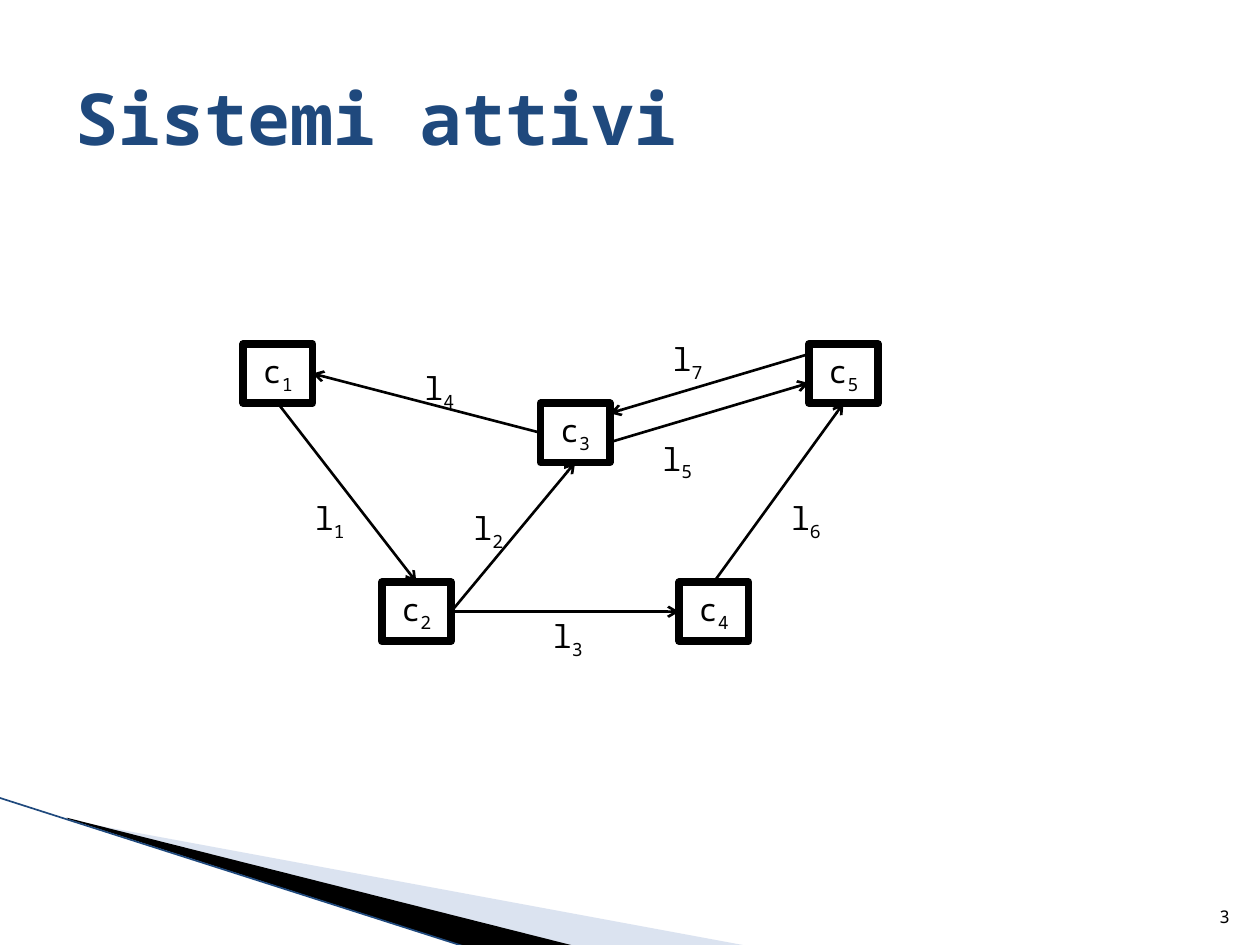
"""Build the slide "Sistemi attivi" with its graph of components and links."""
from lxml import etree
from pptx import Presentation
from pptx.dml.color import RGBColor
from pptx.enum.shapes import MSO_CONNECTOR, MSO_SHAPE
from pptx.enum.text import MSO_ANCHOR, PP_ALIGN
from pptx.oxml.ns import qn
from pptx.util import Inches, Pt

STRAIGHT = MSO_CONNECTOR.STRAIGHT
RECTANGLE = MSO_SHAPE.RECTANGLE
TOP, MIDDLE, BOTTOM = MSO_ANCHOR.TOP, MSO_ANCHOR.MIDDLE, MSO_ANCHOR.BOTTOM
LEFT, CENTER, RIGHT = PP_ALIGN.LEFT, PP_ALIGN.CENTER, PP_ALIGN.RIGHT
BLACK = RGBColor(0x00, 0x00, 0x00)
WHITE = RGBColor(0xFF, 0xFF, 0xFF)
NAVY = RGBColor(0x1F, 0x49, 0x7D)
PALE_BLUE = RGBColor(0xA7, 0xB9, 0xDB)
FONT = "Noto Sans Mono"
SIDE_TOP, SIDE_LEFT, SIDE_BOTTOM, SIDE_RIGHT = range(4)


def write_text(shape, text, size, color=BLACK, bold=False, subscript="",
               align=LEFT, anchor=TOP, wrap=True):
    frame = shape.text_frame
    frame.word_wrap = wrap
    frame.vertical_anchor = anchor
    paragraph = frame.paragraphs[0]
    paragraph.alignment = align
    for part in filter(None, (text, subscript)):
        run = paragraph.add_run()
        run.text = part
        run.font.name = FONT
        run.font.size = Pt(size)
        run.font.bold = bold
        run.font.color.rgb = color
    if subscript:
        run.font._element.set("baseline", "-25000")


def add_line(start, end, color, width, arrow=True):
    line = slide.shapes.add_connector(STRAIGHT, *map(Inches, start + end))
    line.line.color.rgb = color
    line.line.width = Pt(width)
    if arrow:
        etree.SubElement(line.line._get_or_add_ln(), qn("a:tailEnd"), type="arrow")
    etree.SubElement(line._element.spPr, qn("a:effectLst"))
    return line


presentation = Presentation()
presentation.slide_width = Inches(10)
presentation.slide_height = Inches(7.5)
slide = presentation.slides.add_slide(presentation.slide_layouts[6])

wedges = [
    ([(0.55, 6.51), (5.95, 7.51), (4.56, 7.51), (0.55, 6.5)], PALE_BLUE, 40),
    ([(0.53, 6.49), (4.57, 7.51), (3.72, 7.52), (0.54, 6.5)], BLACK, 100),
]
for points, color, opacity in wedges:
    corners = [(Inches(x), Inches(y)) for x, y in points]
    builder = slide.shapes.build_freeform(*corners[0])
    builder.add_line_segments(corners[1:])
    wedge = builder.convert_to_shape()
    wedge.shadow.inherit = False
    wedge.line.fill.background()
    wedge.fill.solid()
    wedge.fill.fore_color.rgb = color
    if opacity < 100:
        color_element = wedge._element.spPr.find(".//" + qn("a:srgbClr"))
        etree.SubElement(color_element, qn("a:alpha"), val=str(opacity * 1000))
add_line((-0.01, 6.33), (3.71, 7.52), NAVY, 0.95, arrow=False)

page_number = slide.shapes.add_textbox(Inches(9.46), Inches(7.01), Inches(0.4), Inches(0.4))
write_text(page_number, "3", 10, align=RIGHT, anchor=BOTTOM)
title = slide.shapes.add_textbox(Inches(0.5), Inches(0.3), Inches(9), Inches(1.25))
write_text(title, "Sistemi attivi", 41, NAVY, bold=True, anchor=MIDDLE)

component_places = {"1": (1.93, 2.73), "3": (4.29, 3.2), "5": (6.42, 2.73),
                    "2": (3.03, 4.62), "4": (5.39, 4.62)}
components = {}
for number, (left, top) in component_places.items():
    component = slide.shapes.add_shape(
        RECTANGLE, Inches(left), Inches(top), Inches(0.55), Inches(0.47))
    component.shadow.inherit = False
    component.fill.solid()
    component.fill.fore_color.rgb = WHITE
    component.line.color.rgb = BLACK
    component.line.width = Pt(4.33)
    write_text(component, "c", 18, subscript=number, align=CENTER, anchor=MIDDLE)
    components[number] = component

joined_links = [
    ("1", SIDE_BOTTOM, "2", SIDE_TOP),
    ("2", SIDE_RIGHT, "3", SIDE_BOTTOM),
    ("3", SIDE_LEFT, "1", SIDE_RIGHT),
    ("2", SIDE_RIGHT, "4", SIDE_LEFT),
    ("4", SIDE_TOP, "5", SIDE_BOTTOM),
]
for source, source_side, target, target_side in joined_links:
    link = add_line((0, 0), (1, 1), BLACK, 1.5)
    link.begin_connect(components[source], source_side)
    link.end_connect(components[target], target_side)
add_line((4.84, 3.51), (6.42, 3.04), BLACK, 1.5)
add_line((6.42, 2.81), (4.84, 3.28), BLACK, 1.5)

link_labels = {"1": (2.4, 3.91), "3": (4.29, 4.85), "2": (3.66, 3.99), "5": (5.16, 3.44),
               "4": (3.27, 2.88), "6": (6.18, 3.91), "7": (5.24, 2.65)}
for number, (left, top) in link_labels.items():
    label = slide.shapes.add_textbox(Inches(left), Inches(top), Inches(0.47), Inches(0.4))
    write_text(label, "l", 18, subscript=number, wrap=False)

presentation.save("out.pptx")
